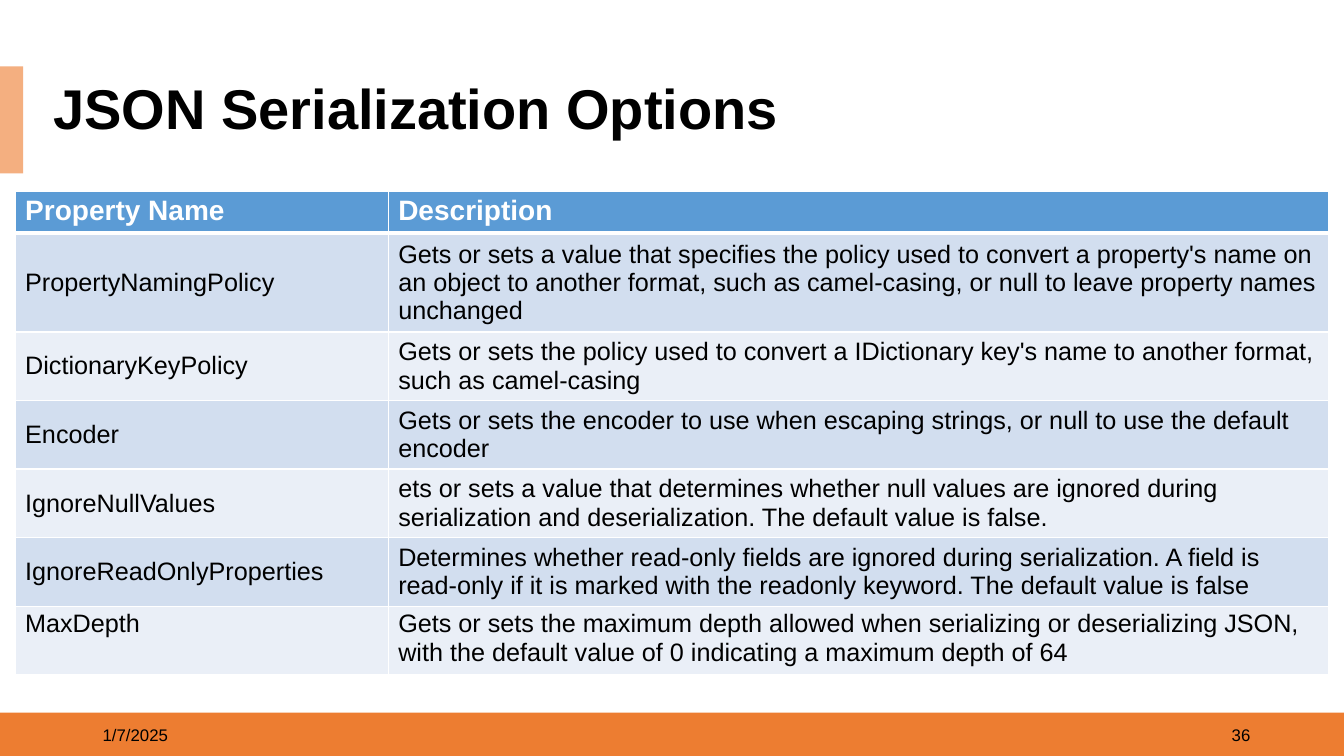
"""Builds the slide on JSON serialization options."""
from dataclasses import dataclass

from lxml.etree import SubElement
from pptx import Presentation
from pptx.dml.color import RGBColor
from pptx.enum.shapes import MSO_SHAPE
from pptx.enum.text import MSO_ANCHOR, PP_ALIGN
from pptx.oxml.ns import qn
from pptx.util import Inches, Pt


@dataclass(frozen=True)
class Theme:
    """Colours, font and type sizes."""
    font: str = "Arial"
    ink: str = "000000"
    paper: str = "FFFFFF"
    footer: str = "ED7D31"
    accent: str = "F4AF80"
    header: str = "5B9BD5"
    bands: tuple = ("D2DEEF", "EAEFF7")
    title_size: int = 40
    header_size: int = 20
    body_size: int = 18
    footer_size: int = 12


OPTIONS = [
    ("Property Name", "Description"),
    ("PropertyNamingPolicy",
     "Gets or sets a value that specifies the policy used to convert a property's name on an object "
     "to another format, such as camel-casing, or null to leave property names unchanged"),
    ("DictionaryKeyPolicy",
     "Gets or sets the policy used to convert a IDictionary key's name to another format, "
     "such as camel-casing"),
    ("Encoder",
     "Gets or sets the encoder to use when escaping strings, or null to use the default encoder"),
    ("IgnoreNullValues",
     "ets or sets a value that determines whether null values are ignored during serialization "
     "and deserialization. The default value is false."),
    ("IgnoreReadOnlyProperties",
     "Determines whether read-only fields are ignored during serialization. A field is read-only "
     "if it is marked with the readonly keyword. The default value is false"),
    ("MaxDepth",
     "Gets or sets the maximum depth allowed when serializing or deserializing JSON, "
     "with the default value of 0 indicating a maximum depth of 64"),
]
COLUMN_WIDTHS = (3.7, 9.33)
ROW_HEIGHTS = (0.4, 0.94) + (0.66,) * 5


class SlideBuilder:
    """Holds the theme and the current slide."""

    def __init__(self, page, theme):
        self.page = page
        self.theme = theme

    def set_text(self, frame, text, size, color, bold=False, align=PP_ALIGN.LEFT):
        paragraph = frame.paragraphs[0]
        paragraph.text = text
        paragraph.alignment = align
        font = paragraph.font
        font.name, font.size, font.bold = self.theme.font, Pt(size), bold
        font.color.rgb = RGBColor.from_string(color)
        return paragraph

    def bar(self, left, top, width, height, color):
        shape = self.page.shapes.add_shape(
            MSO_SHAPE.RECTANGLE, Inches(left), Inches(top), Inches(width), Inches(height))
        shape.shadow.inherit = False
        shape.fill.solid()
        shape.fill.fore_color.rgb = RGBColor.from_string(color)
        shape.line.fill.background()

    def title(self, text, left, top, width, height):
        box = self.page.shapes.title
        box.left, box.top = Inches(left), Inches(top)
        box.width, box.height = Inches(width), Inches(height)
        box.fill.solid()
        box.fill.fore_color.rgb = RGBColor.from_string(self.theme.paper)
        box.text_frame.vertical_anchor = MSO_ANCHOR.MIDDLE
        paragraph = self.set_text(box.text_frame, text, self.theme.title_size, self.theme.ink, True)
        paragraph.line_spacing = 0.9

    def footer_text(self, text, left, align):
        box = self.page.shapes.add_textbox(Inches(left), Inches(7.09), Inches(3), Inches(0.4))
        box.text_frame.word_wrap = True
        box.text_frame.vertical_anchor = MSO_ANCHOR.MIDDLE
        self.set_text(box.text_frame, text, self.theme.footer_size, self.theme.ink, align=align)

    def borders(self, cell, widths):
        properties = cell._tc.get_or_add_tcPr()
        for side, width in zip("LRTB", widths):
            line = SubElement(properties, qn(f"a:ln{side}"), w=str(Pt(width)))
            fill = SubElement(line, qn("a:solidFill"))
            SubElement(fill, qn("a:srgbClr"), val=self.theme.paper)

    def table(self, rows, left, top, widths, heights):
        table = self.page.shapes.add_table(
            len(rows), len(widths), Inches(left), Inches(top),
            Inches(sum(widths)), Inches(sum(heights))).table
        table.horz_banding = False
        for column, width in zip(table.columns, widths):
            column.width = Inches(width)
        for index, (row, height) in enumerate(zip(table.rows, heights)):
            row.height = Inches(height)
            for cell, text in zip(row.cells, rows[index]):
                self.cell(cell, text, index, len(rows) - 1)

    def cell(self, cell, text, index, last):
        theme = self.theme
        header = index == 0
        self.borders(cell, (1, 1, 3 if index == 1 else 1, 3 if header else 1))
        cell.fill.solid()
        color = theme.header if header else theme.bands[(index - 1) % 2]
        cell.fill.fore_color.rgb = RGBColor.from_string(color)
        cell.margin_top = cell.margin_bottom = Inches(0.04)
        cell.vertical_anchor = MSO_ANCHOR.TOP if index in (0, last) else MSO_ANCHOR.MIDDLE
        if header:
            self.set_text(cell.text_frame, text, theme.header_size, theme.paper, True, PP_ALIGN.JUSTIFY)
        else:
            self.set_text(cell.text_frame, text, theme.body_size, theme.ink)


def main():
    deck = Presentation()
    deck.slide_width, deck.slide_height = Inches(13.33), Inches(7.5)
    theme = Theme()
    builder = SlideBuilder(deck.slides.add_slide(deck.slide_layouts[5]), theme)
    builder.bar(0, 7.07, 13.33, 0.43, theme.footer)
    builder.bar(0, 0.66, 0.23, 1.06, theme.accent)
    builder.footer_text("1/7/2025", 0.92, PP_ALIGN.LEFT)
    builder.footer_text("36", 9.5, PP_ALIGN.RIGHT)
    builder.title("JSON Serialization Options", 0.43, 0.79, 12.2, 0.63)
    builder.table(OPTIONS, 0.15, 1.9, COLUMN_WIDTHS, ROW_HEIGHTS)
    deck.save("out.pptx")


if __name__ == "__main__":
    main()
